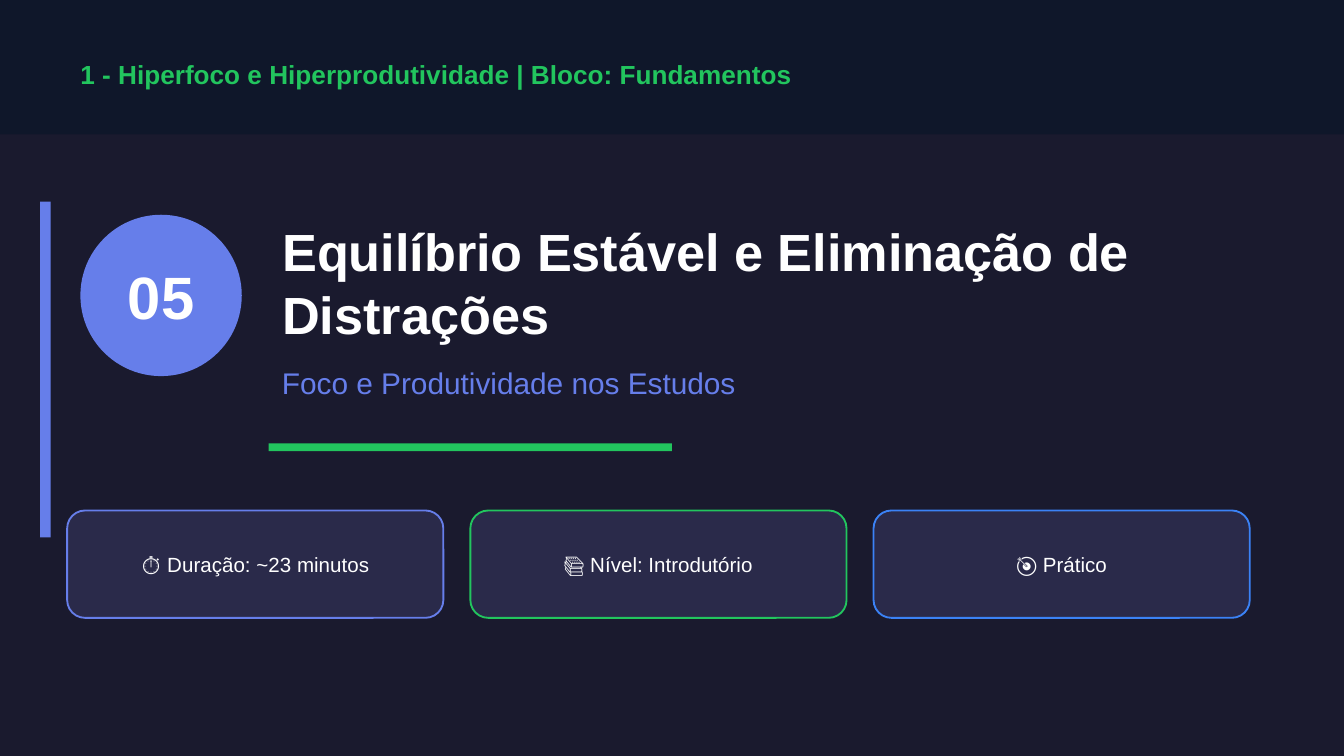
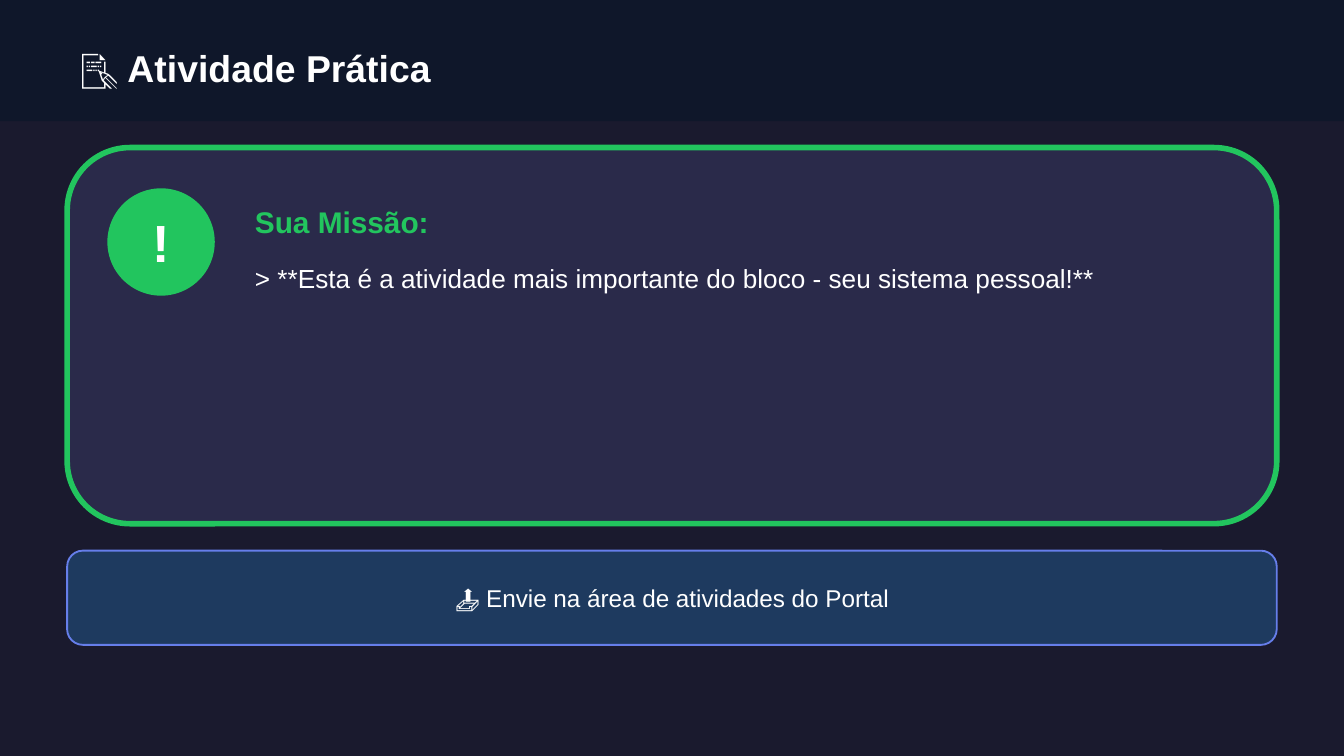
from dataclasses import dataclass

from pptx import Presentation
from pptx.dml.color import RGBColor
from pptx.enum.shapes import MSO_SHAPE
from pptx.enum.text import MSO_ANCHOR, MSO_AUTO_SIZE, PP_ALIGN
from pptx.slide import Slide
from pptx.text.text import TextFrame
from pptx.util import Cm, Pt

RECT, OVAL, ROUND = MSO_SHAPE.RECTANGLE, MSO_SHAPE.OVAL, MSO_SHAPE.ROUNDED_RECTANGLE
LEFT, CENTER = PP_ALIGN.LEFT, PP_ALIGN.CENTER
TOP, MIDDLE = MSO_ANCHOR.TOP, MSO_ANCHOR.MIDDLE
FIXED = MSO_AUTO_SIZE.NONE

FONT = "Arial"
NIGHT, BAND, PANEL, NAVY = "1A1A2E", "0F172A", "2A2A4A", "1E3A5F"
GREEN, VIOLET, BLUE, WHITE = "22C55E", "667EEA", "3B82F6", "FFFFFF"

WIDTH, HEIGHT = 25.4, 14.29
EDGE, FULL = 1.27, 22.86
CARD_W, CARD_GAP = 7.11, 0.51
TITLE_ONLY = 5


@dataclass
class Box:
    """A place on the slide, in centimetres."""
    x: float
    y: float
    w: float
    h: float


@dataclass
class Style:
    size: float
    color: str = WHITE
    bold: bool = False
    align: PP_ALIGN = LEFT
    anchor: MSO_ANCHOR = MIDDLE


@dataclass
class Card:
    text: str
    line: str


CARDS = [
    Card("⏱ Duração: ~23 minutos", VIOLET),
    Card("📚 Nível: Introdutório", GREEN),
    Card("🎯 Prático", BLUE),
]


def rgb(code: str) -> RGBColor:
    return RGBColor.from_string(code)


def write(frame: TextFrame, text: str, style: Style) -> None:
    frame.text = text
    frame.word_wrap = True
    frame.auto_size = FIXED
    frame.vertical_anchor = style.anchor
    for para in frame.paragraphs:
        para.alignment = style.align
        for run in para.runs:
            run.font.name = FONT
            run.font.size = Pt(style.size)
            run.font.bold = style.bold
            run.font.color.rgb = rgb(style.color)


def place(box: Box) -> tuple[Cm, Cm, Cm, Cm]:
    return Cm(box.x), Cm(box.y), Cm(box.w), Cm(box.h)


def add_text(slide: Slide, box: Box, text: str, style: Style) -> None:
    write(slide.shapes.add_textbox(*place(box)).text_frame, text, style)


def add_form(slide: Slide, kind: MSO_SHAPE, box: Box, fill: str,
             line: str = "", weight: float = 1,
             text: str = "", style: Style | None = None) -> None:
    """Draw a filled shape, with an outline and a label if given."""
    form = slide.shapes.add_shape(kind, *place(box))
    form.shadow.inherit = False
    form.fill.solid()
    form.fill.fore_color.rgb = rgb(fill)
    if line:
        form.line.color.rgb = rgb(line)
        form.line.width = Pt(weight)
    else:
        form.line.fill.background()
    if style:
        write(form.text_frame, text, style)


def add_badge(slide: Slide, box: Box, fill: str, text: str, size: float) -> None:
    add_form(slide, OVAL, box, fill, text=text,
             style=Style(size, bold=True, align=CENTER))


def new_slide(prs: Presentation, band: float, title: str, box: Box, size: float) -> Slide:
    """Add a slide with its top band and its title above the band."""
    slide = prs.slides.add_slide(prs.slide_layouts[TITLE_ONLY])
    add_form(slide, RECT, Box(0, 0, WIDTH, band), BAND)
    head = slide.shapes.title
    head.left, head.top, head.width, head.height = place(box)
    write(head.text_frame, title, Style(size, bold=True))
    slide.shapes._spTree.append(head._element)
    return slide


def build_cover(prs: Presentation) -> None:
    slide = new_slide(prs, 2.54, "Equilíbrio Estável e Eliminação de Distrações",
                      Box(5.08, 4.06, 19.05, 2.54), 28)
    add_text(slide, Box(EDGE, 0.89, FULL, 1.02),
             "1 - Hiperfoco e Hiperprodutividade | Bloco: Fundamentos",
             Style(14, GREEN, True))
    add_form(slide, RECT, Box(0.76, 3.81, 0.2, 6.35), VIOLET)
    add_badge(slide, Box(1.52, 4.06, 3.05, 3.05), VIOLET, "05", 32)
    add_text(slide, Box(5.08, 6.6, 19.05, 1.27),
             "Foco e Produtividade nos Estudos", Style(16, VIOLET))
    add_form(slide, RECT, Box(5.08, 8.38, 7.62, 0.15), GREEN)
    for i, card in enumerate(CARDS):
        box = Box(EDGE + i * (CARD_W + CARD_GAP), 9.65, CARD_W, 2.03)
        add_form(slide, ROUND, box, PANEL, card.line,
                 text=card.text, style=Style(11, align=CENTER))


def build_task(prs: Presentation) -> None:
    slide = new_slide(prs, 2.29, "📝 Atividade Prática",
                      Box(EDGE, 0.64, FULL, 1.27), 20)
    add_form(slide, ROUND, Box(EDGE, 2.79, FULL, 7.11), PANEL, GREEN, 3)
    add_badge(slide, Box(2.03, 3.56, 2.03, 2.03), GREEN, "!", 28)
    add_text(slide, Box(4.57, 3.56, 19.05, 1.27), "Sua Missão:",
             Style(16, GREEN, True))
    add_text(slide, Box(4.57, 4.83, 18.8, 4.57),
             "> **Esta é a atividade mais importante do bloco - seu sistema pessoal!**",
             Style(14, anchor=TOP))
    add_form(slide, ROUND, Box(EDGE, 10.41, FULL, 1.78), NAVY, VIOLET,
             text="📤 Envie na área de atividades do Portal",
             style=Style(13, align=CENTER))


def main() -> None:
    prs = Presentation()
    prs.slide_width, prs.slide_height = Cm(WIDTH), Cm(HEIGHT)
    back = prs.slide_master.background.fill
    back.solid()
    back.fore_color.rgb = rgb(NIGHT)
    build_cover(prs)
    build_task(prs)
    prs.save("out.pptx")


if __name__ == "__main__":
    main()
